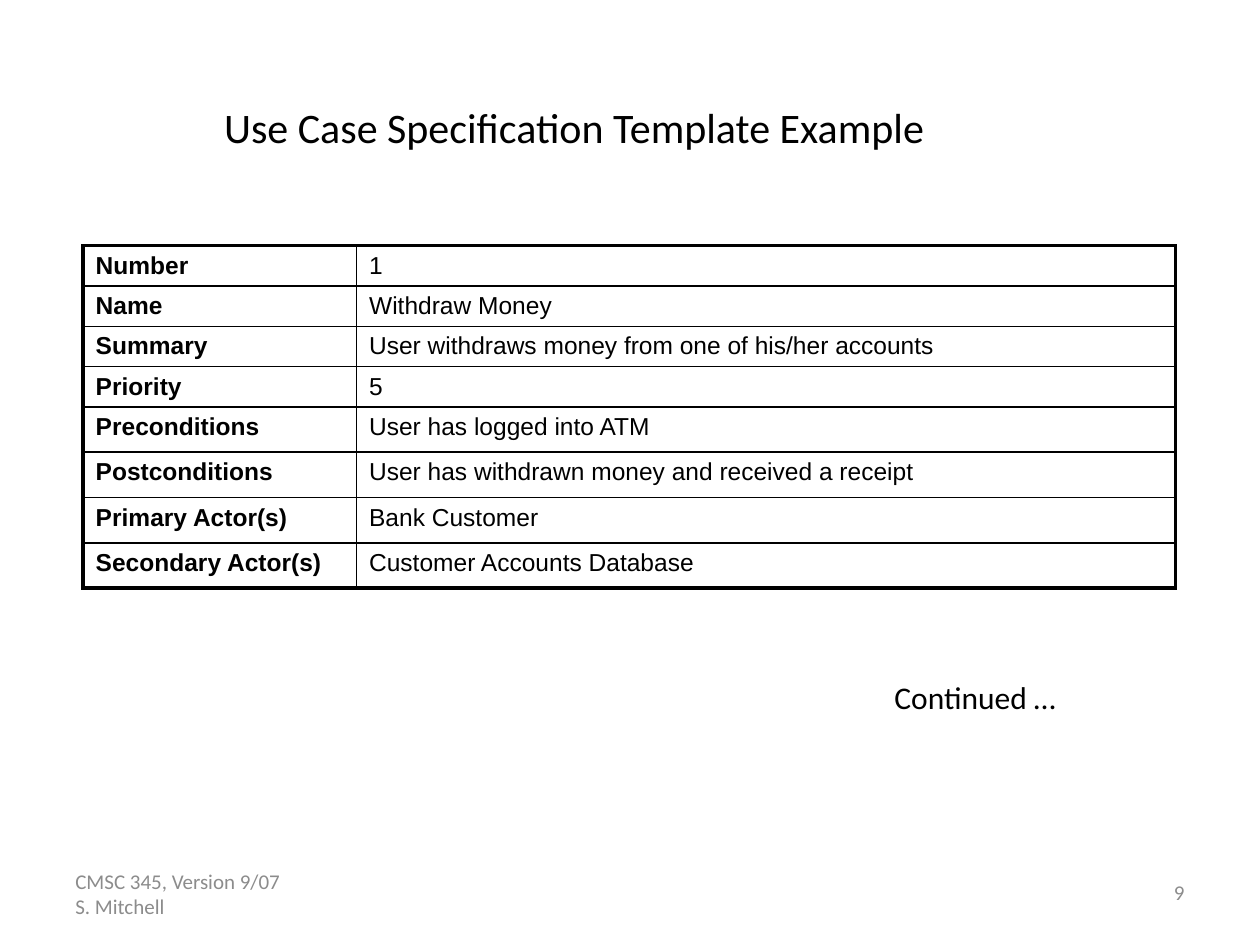
from lxml import etree
from pptx import Presentation
from pptx.dml.color import RGBColor
from pptx.enum import text
from pptx.oxml.ns import qn
from pptx.util import Inches, Pt

# Content
COLORS = {"ink": "000000", "footer": "8C8C8C"}
ROWS = [
    ("Number", "1"),
    ("Name", "Withdraw Money"),
    ("Summary", "User withdraws money from one of his/her accounts"),
    ("Priority", "5"),
    ("Preconditions", "User has logged into ATM"),
    ("Postconditions", "User has withdrawn money and received a receipt"),
    ("Primary Actor(s)", "Bank Customer"),
    ("Secondary Actor(s)", "Customer Accounts Database"),
]
COL_WIDTHS = (2.17, 6.5)
ROW_HEIGHTS = [0.32] * 4 + [0.36] * 4
LEFT, MIDDLE = text.PP_ALIGN.LEFT, text.MSO_ANCHOR.MIDDLE
TOP, RIGHT = text.MSO_ANCHOR.TOP, text.PP_ALIGN.RIGHT
# (left, top, width, height), lines, size, color, alignment, anchor
TEXTS = [
    ((1.68, 0.76, 6.52, 0.5), ["Use Case Specification Template Example"],
     24, "ink", LEFT, TOP),
    ((7, 5.33, 1.75, 0.4), ["Continued …"], 18, "ink", LEFT, TOP),
    ((0.5, 6.83, 2.33, 0.52), ["CMSC 345, Version 9/07", "S. Mitchell"],
     12, "footer", LEFT, MIDDLE),
    ((7.17, 6.83, 2.33, 0.5), ["9"], 12, "footer", RIGHT, MIDDLE),
]


def style(p, font, size, color, bold=False):
    p.font.name = font
    p.font.size = Pt(size)
    p.font.bold = bold
    p.font.color.rgb = RGBColor.from_string(COLORS[color])


def add_border(cell, side, width):
    ln = etree.SubElement(cell._tc.get_or_add_tcPr(), qn(f"a:ln{side}"),
                          w=str(Pt(width)))
    fill = etree.SubElement(ln, qn("a:solidFill"))
    etree.SubElement(fill, qn("a:srgbClr"), val=COLORS["ink"])


prs = Presentation()
prs.slide_width, prs.slide_height = Inches(10), Inches(7.5)
s = prs.slides.add_slide(prs.slide_layouts[6])

# Title, continuation note and footer
for box, lines, size, color, align, anchor in TEXTS:
    tf = s.shapes.add_textbox(*map(Inches, box)).text_frame
    tf.word_wrap = True
    tf.vertical_anchor = anchor
    tf.text = "\n".join(lines)
    for p in tf.paragraphs:
        p.alignment = align
        style(p, "Calibri", size, color)

# Use case table: thick outer frame, thin inner rules
table = s.shapes.add_table(
    len(ROWS), len(COL_WIDTHS), Inches(0.66), Inches(1.95),
    Inches(sum(COL_WIDTHS)), Inches(sum(ROW_HEIGHTS))).table
table.first_row = table.horz_banding = False
for col, width in zip(table.columns, COL_WIDTHS):
    col.width = Inches(width)
for r, (row, height) in enumerate(zip(ROWS, ROW_HEIGHTS)):
    table.rows[r].height = Inches(height)
    for c, value in enumerate(row):
        cell = table.cell(r, c)
        cell.text = value
        cell.margin_bottom = Inches(0.03)
        style(cell.text_frame.paragraphs[0], "Arial", 14, "ink", bold=c == 0)
        outer = {"L": c == 0, "R": c == len(row) - 1,
                 "T": r == 0, "B": r == len(ROWS) - 1}
        for side, is_outer in outer.items():
            add_border(cell, side, 2.25 if is_outer else 1)
        cell.fill.background()

prs.save("out.pptx")
